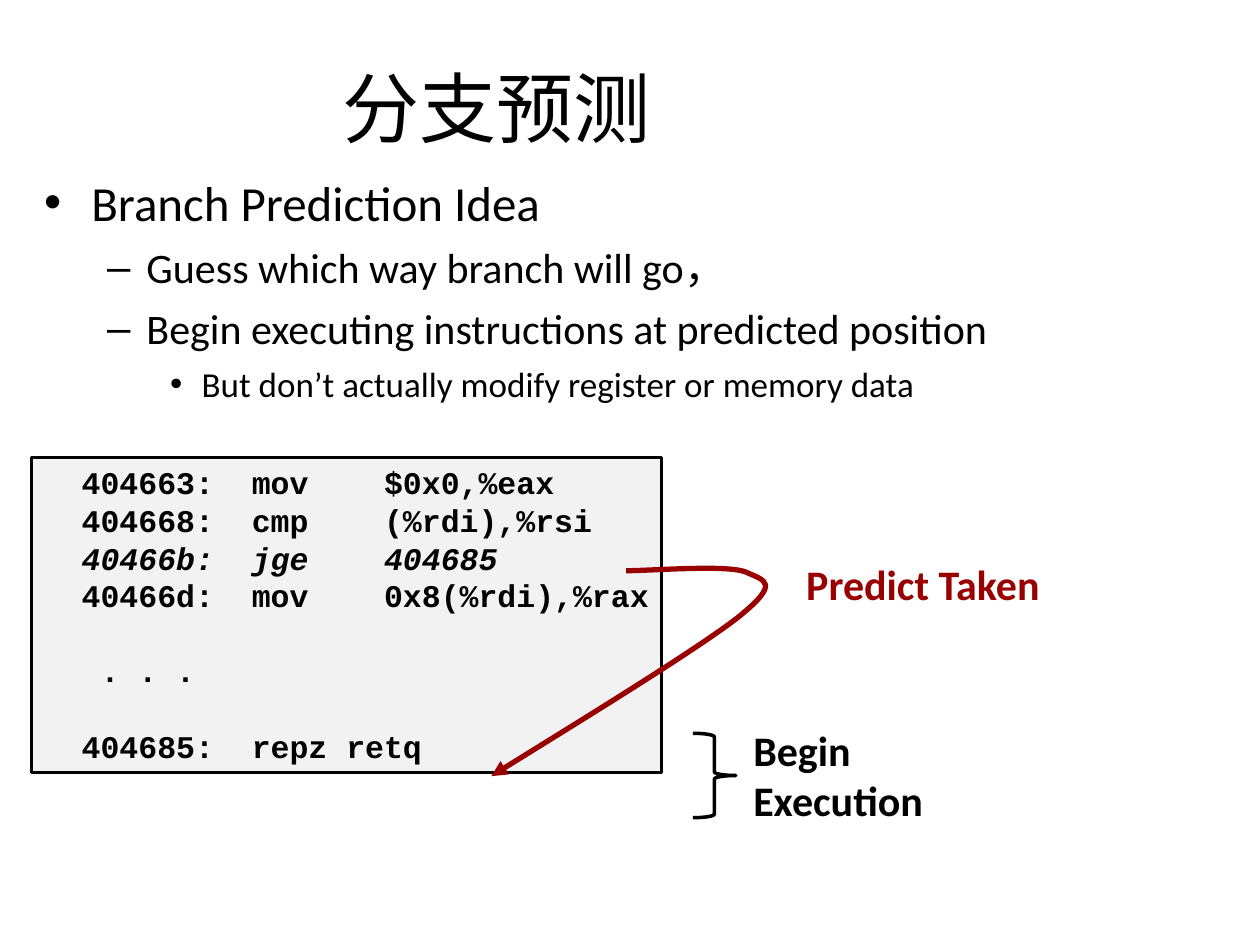
from lxml import etree
from pptx import Presentation
from pptx.dml.color import RGBColor
from pptx.enum.shapes import MSO_SHAPE
from pptx.enum.text import MSO_ANCHOR, MSO_AUTO_SIZE, PP_ALIGN
from pptx.oxml.ns import qn
from pptx.util import Inches, Pt

BLACK = RGBColor(0x00, 0x00, 0x00)
RED = RGBColor(0x99, 0x00, 0x00)
GREY = RGBColor(0xF2, 0xF2, 0xF2)

BULLETS = [  # level, size, space before, text
    (0, 28, 0, "Branch Prediction Idea"),
    (1, 24, 6, "Guess which way branch will go，"),
    (1, 24, 6, "Begin executing instructions at predicted position"),
    (2, 20, 5, "But don’t actually modify register or memory data"),
]
CODE_LINE = 21.5
CODE = [  # text, italic, empty lines before
    ("  404663:  mov    $0x0,%eax", False, 0),
    ("  404668:  cmp    (%rdi),%rsi", False, 0),
    ("  40466b:  jge    404685", True, 0),
    ("  40466d:  mov    0x8(%rdi),%rax", False, 0),
    ("   . . .", False, 1),
    ("  404685:  repz retq", False, 1),
]
# Start point, then two control points and an end point for each curve
JUMP = [(3.9, 6.16),
        (4.23, 5.95), (5.53, 5.16), (5.87, 4.89),
        (6.2, 4.62), (6.07, 4.61), (5.92, 4.54),
        (5.77, 4.48), (5.17, 4.53), (4.97, 4.53)]


class SlideBuilder:
    text_font = "Calibri"
    code_font = "Courier New"

    def __init__(self, slide):
        self.slide = slide

    def place(self, sp, left, top, width, height):
        sp.left, sp.top = Inches(left), Inches(top)
        sp.width, sp.height = Inches(width), Inches(height)

    def style(self, p, size, color=BLACK, bold=False, name=None):
        p.font.name = name or self.text_font
        p.font.size = Pt(size)
        p.font.bold = bold
        p.font.color.rgb = color

    def paragraphs(self, tf, texts):
        for i, text in enumerate(texts):
            p = tf.paragraphs[0] if i == 0 else tf.add_paragraph()
            p.text = text
            yield p

    def title(self, text, *box):
        sp = self.slide.shapes.title
        self.place(sp, *box)
        sp.text_frame.vertical_anchor = MSO_ANCHOR.MIDDLE
        p = next(self.paragraphs(sp.text_frame, [text]))
        p.alignment = PP_ALIGN.CENTER
        self.style(p, 44)

    def bullets(self, items, *box):
        sp = self.slide.placeholders[1]
        self.place(sp, *box)
        tf = sp.text_frame
        tf.auto_size = MSO_AUTO_SIZE.NONE
        texts = [item[3] for item in items]
        for p, (level, size, before, _) in zip(self.paragraphs(tf, texts), items):
            p.level = level
            p.space_before = Pt(before)
            self.style(p, size)

    def label(self, lines, color, *box):
        sp = self.slide.shapes.add_textbox(*map(Inches, box))
        sp.text_frame.word_wrap = False
        for p in self.paragraphs(sp.text_frame, lines):
            self.style(p, 24, color, bold=True)

    def outline(self, sp, color, width):
        sp.shadow.inherit = False
        sp.line.color.rgb = color
        sp.line.width = Pt(width)

    def brace(self, *box):
        sp = self.slide.shapes.add_shape(MSO_SHAPE.RIGHT_BRACE, *map(Inches, box))
        sp.fill.background()
        self.outline(sp, BLACK, 2)

    def code(self, lines, *box):
        sp = self.slide.shapes.add_shape(MSO_SHAPE.RECTANGLE, *map(Inches, box))
        sp.fill.solid()
        sp.fill.fore_color.rgb = GREY
        self.outline(sp, BLACK, 1.5)
        tf = sp.text_frame
        tf.word_wrap = False
        tf.vertical_anchor = MSO_ANCHOR.TOP
        texts = [line[0] for line in lines]
        for p, (_, italic, gap) in zip(self.paragraphs(tf, texts), lines):
            p.alignment = PP_ALIGN.LEFT
            p.line_spacing = Pt(CODE_LINE)
            p.space_before = Pt(gap * CODE_LINE)
            self.style(p, 18, bold=True, name=self.code_font)
            p.font.italic = italic

    def curved_arrow(self, points):
        """Draw Bezier curves through points, with an arrowhead at the start."""
        start, *rest = [(Inches(x), Inches(y)) for x, y in points]
        builder = self.slide.shapes.build_freeform(*start)
        builder.add_line_segments(rest, close=False)
        sp = builder.convert_to_shape()
        sp.fill.background()
        self.outline(sp, RED, 3)
        path = next(sp.element.iter(qn("a:path")))
        segments = path.findall(qn("a:lnTo"))
        for i in range(0, len(segments), 3):
            curve = etree.SubElement(path, qn("a:cubicBezTo"))
            for segment in segments[i:i + 3]:
                curve.append(segment[0])
                path.remove(segment)
        ln = sp.element.spPr.find(qn("a:ln"))
        etree.SubElement(ln, qn("a:headEnd"), type="triangle")


def main():
    prs = Presentation()
    prs.slide_width, prs.slide_height = Inches(10), Inches(7.5)
    s = SlideBuilder(prs.slides.add_slide(prs.slide_layouts[1]))
    s.title("分支预测", 0.6, 0.38, 6.68, 0.94)
    s.bullets(BULLETS, 0.25, 1.32, 9.36, 2.02)
    s.label(["Predict Taken"], RED, 6.3, 4.38, 2.09, 0.5)
    s.brace(5.5, 5.82, 0.34, 0.67)
    s.label(["Begin", "Execution"], BLACK, 5.88, 5.7, 1.55, 0.9)
    s.code(CODE, 0.25, 3.63, 5, 2.5)
    s.curved_arrow(JUMP)
    prs.save("out.pptx")


if __name__ == "__main__":
    main()
